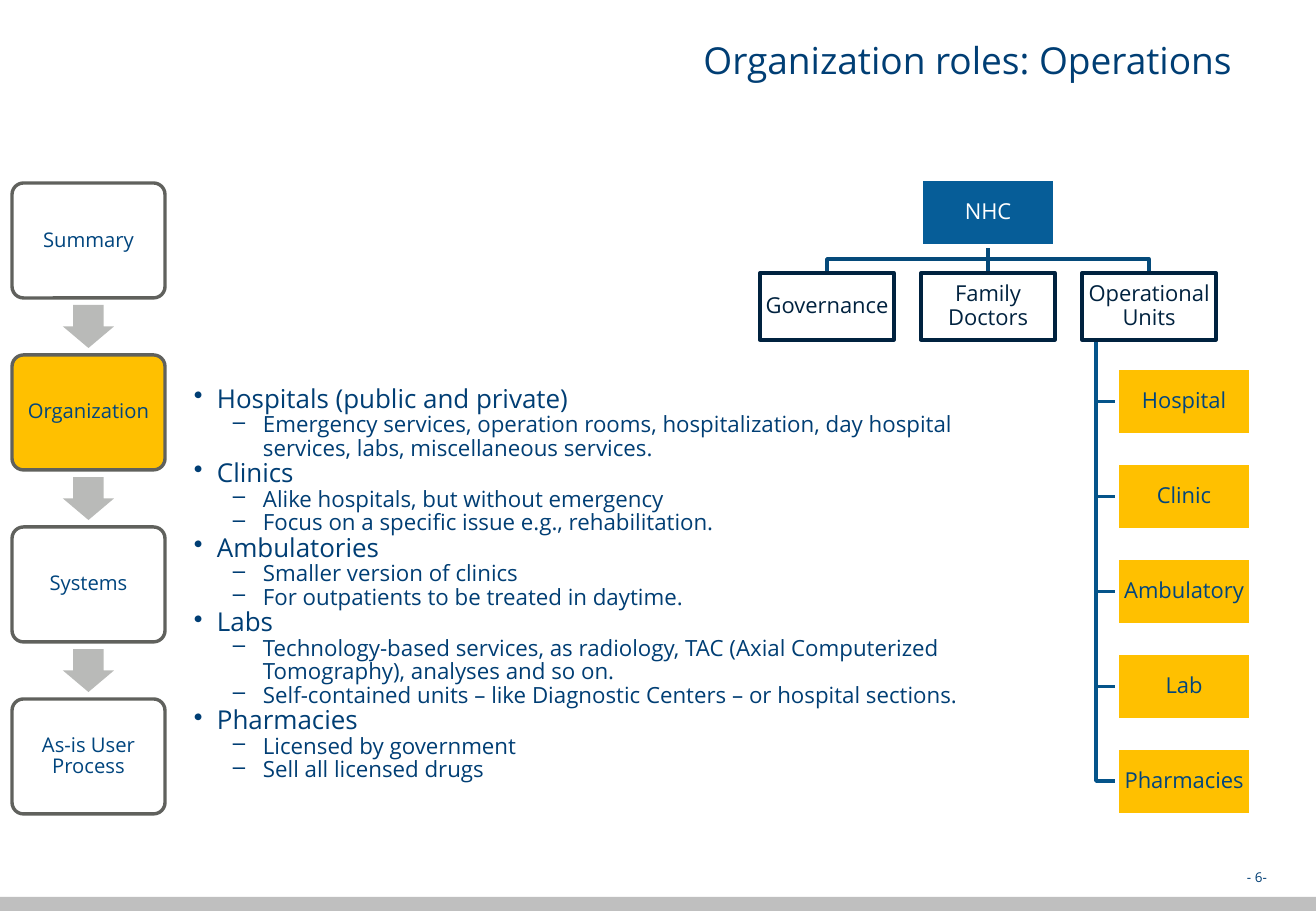
from lxml.etree import SubElement
from pptx import Presentation
from pptx.dml.color import RGBColor
from pptx.enum.shapes import MSO_CONNECTOR, MSO_SHAPE
from pptx.enum.text import MSO_ANCHOR, MSO_AUTO_SIZE, PP_ALIGN
from pptx.oxml.ns import qn
from pptx.util import Emu, Pt

EMU_PER_PX = 914400 / 121.5
TOP, BOTTOM, LEFT = 0, 2, 1
NAVY, BLUE, DARK, AMBER, WHITE = "003E74", "00457E", "00223F", "FFC000", "FFFFFF"
TRUNK_BLUE, SPINE_BLUE = "054A7A", "05548A"


def px(length):
    return Emu(round(length * EMU_PER_PX))


def color(value):
    return RGBColor.from_string(value)


class RolesPage:
    font_name = "Open Sans"
    line_width = Pt(2)

    def __init__(self, deck):
        self.page = deck.slides.add_slide(deck.slide_layouts[5])
        self.shapes = self.page.shapes

    def style_text(self, paragraph, size, tint, align, spacing=None):
        paragraph.font.name = self.font_name
        paragraph.font.size = Pt(size)
        paragraph.font.color.rgb = color(tint)
        paragraph.alignment = align
        paragraph.line_spacing = spacing

    def style_frame(self, frame, anchor, insets):
        frame.word_wrap = True
        frame.auto_size = MSO_AUTO_SIZE.NONE
        frame.vertical_anchor = anchor
        (frame.margin_left, frame.margin_top,
         frame.margin_right, frame.margin_bottom) = map(px, insets)

    def title(self, text, left, top, width, height):
        box = self.shapes.title
        box.left, box.top, box.width, box.height = map(px, (left, top, width, height))
        self.style_frame(box.text_frame, MSO_ANCHOR.TOP, (12, 5, 24, 5))
        box.text_frame.text = text
        self.style_text(box.text_frame.paragraphs[0], 22, NAVY, PP_ALIGN.RIGHT, 1.05)

    def shape(self, kind, left, top, width, height, fill, line=None, adjust=()):
        shape = self.shapes.add_shape(kind, *map(px, (left, top, width, height)))
        shape.shadow.inherit = False
        shape.fill.solid()
        shape.fill.fore_color.rgb = color(fill)
        if line:
            shape.line.color.rgb = color(line)
            shape.line.width = self.line_width
        else:
            shape.line.fill.background()
        for index, value in enumerate(adjust):
            shape.adjustments[index] = value
        return shape

    def label(self, shape, text, size, tint, inset):
        self.style_frame(shape.text_frame, MSO_ANCHOR.MIDDLE, [inset] * 4)
        shape.text_frame.text = text
        self.style_text(shape.text_frame.paragraphs[0], size, tint, PP_ALIGN.CENTER, 0.9)

    def unit(self, text, left, top, fill, line, tint):
        box = self.shape(MSO_SHAPE.RECTANGLE, left, top, 134, 67, fill, line)
        self.label(box, text, 13, tint, 1)
        return box

    def line(self, start, end, tint):
        line = self.shapes.add_connector(MSO_CONNECTOR.STRAIGHT, *map(px, start + end))
        line.line.color.rgb = color(tint)
        line.line.width = self.line_width
        SubElement(line.element.spPr, qn("a:effectLst"))
        return line

    def polyline(self, points, tint):
        builder = self.shapes.build_freeform(*points[0], scale=EMU_PER_PX)
        builder.add_line_segments(points[1:], close=False)
        shape = builder.convert_to_shape()
        shape.shadow.inherit = False
        shape.fill.background()
        shape.line.color.rgb = color(tint)
        shape.line.width = self.line_width

    def text_box(self, left, top, width, height, anchor, insets):
        box = self.shapes.add_textbox(*map(px, (left, top, width, height)))
        self.style_frame(box.text_frame, anchor, insets)
        return box.text_frame

    def bullets(self, frame, items):
        for index, (level, text) in enumerate(items):
            para = frame.paragraphs[0] if index == 0 else frame.add_paragraph()
            symbol, margin, hang, size = (("•", 23, 23, 15.4), ("–", 69, 30, 13.2))[level]
            para.text = text
            para.level = level
            properties = para._p.get_or_add_pPr()
            properties.set("marL", str(px(margin)))
            properties.set("indent", str(-px(hang)))
            SubElement(properties, qn("a:buChar")).set("char", symbol)
            self.style_text(para, size, NAVY, PP_ALIGN.LEFT, 0.88)


STEPS = ["Summary", "Organization", "Systems", "As-is User Process"]
BRANCHES = ["Governance", "Family Doctors", "Operational Units"]
FACILITIES = ["Hospital", "Clinic", "Ambulatory", "Lab", "Pharmacies"]
ROLES = {
    "Hospitals (public and private)": [
        "Emergency services, operation rooms, hospitalization, day hospital services, "
        "labs, miscellaneous services."],
    "Clinics": [
        "Alike hospitals, but without emergency",
        "Focus on a specific issue e.g., rehabilitation."],
    "Ambulatories": [
        "Smaller version of clinics",
        "For outpatients to be treated in daytime."],
    "Labs": [
        "Technology-based services, as radiology, TAC (Axial Computerized Tomography), "
        "analyses and so on.",
        "Self-contained units – like Diagnostic Centers – or hospital sections."],
    "Pharmacies": ["Licensed by government", "Sell all licensed drugs"],
}


def main():
    deck = Presentation()
    deck.slide_width, deck.slide_height = px(1316), px(911)
    page = RolesPage(deck)

    # Title and footer
    page.title("Organization roles: Operations", 194, 30, 1062, 129)
    page.shape(MSO_SHAPE.RECTANGLE, 0, 897, 1316, 14, "BFBFBF")
    number = page.text_box(1079, 850, 188, 35, MSO_ANCHOR.BOTTOM, (0, 0, 0, 0))
    number.text = "- 6-"
    page.style_text(number.paragraphs[0], 8, NAVY, PP_ALIGN.RIGHT)

    # Role descriptions
    items = []
    for role, details in ROLES.items():
        items.append((0, role))
        items.extend((1, detail) for detail in details)
    page.bullets(page.text_box(194, 355, 861, 459, MSO_ANCHOR.MIDDLE, (0, 6, 12, 6)), items)

    # Lines from the root to the branches
    root_x, bar_y, branch_y, branch_pitch = 988, 259, 273, 161
    trunk = page.line((root_x, 246), (root_x, branch_y), TRUNK_BLUE)
    for end_x in (root_x - branch_pitch, root_x + branch_pitch):
        page.polyline([(root_x, bar_y), (end_x, bar_y), (end_x, branch_y)], TRUNK_BLUE)

    # Lines from the last branch to the facilities
    spine_x, facility_x, facility_y, facility_pitch = 1096, 1117, 368, 95
    middles = [facility_y + 33 + index * facility_pitch for index in range(len(FACILITIES))]
    page.polyline([(spine_x, 340), (spine_x, middles[-1]), (facility_x, middles[-1])], SPINE_BLUE)
    stubs = [page.line((spine_x, y), (facility_x, y), SPINE_BLUE) for y in middles[:-1]]

    # Organization boxes
    root = page.unit("NHC", root_x - 67, 179, "065D98", WHITE, WHITE)
    branches = [page.unit(name, root_x - 67 + (index - 1) * branch_pitch, branch_y,
                          WHITE, DARK, DARK) for index, name in enumerate(BRANCHES)]
    facilities = [page.unit(name, facility_x, facility_y + index * facility_pitch,
                            AMBER, WHITE, BLUE) for index, name in enumerate(FACILITIES)]
    trunk.begin_connect(root, BOTTOM)
    trunk.end_connect(branches[1], TOP)
    for stub, facility in zip(stubs, facilities):
        stub.end_connect(facility, LEFT)
        stub.begin_y = stub.end_y

    # Step chain
    for index, name in enumerate(STEPS):
        top = 183 + index * 172
        fill = AMBER if name == "Organization" else WHITE
        step = page.shape(MSO_SHAPE.ROUNDED_RECTANGLE, 12, top, 153, 115, fill, "60615D", [0.1])
        page.label(step, name, 12, BLUE, 8)
        if index < len(STEPS) - 1:
            page.shape(MSO_SHAPE.DOWN_ARROW, 63, top + 122, 51, 43, "B9BAB8", adjust=[0.6, 0.5])

    deck.save("out.pptx")


if __name__ == "__main__":
    main()
